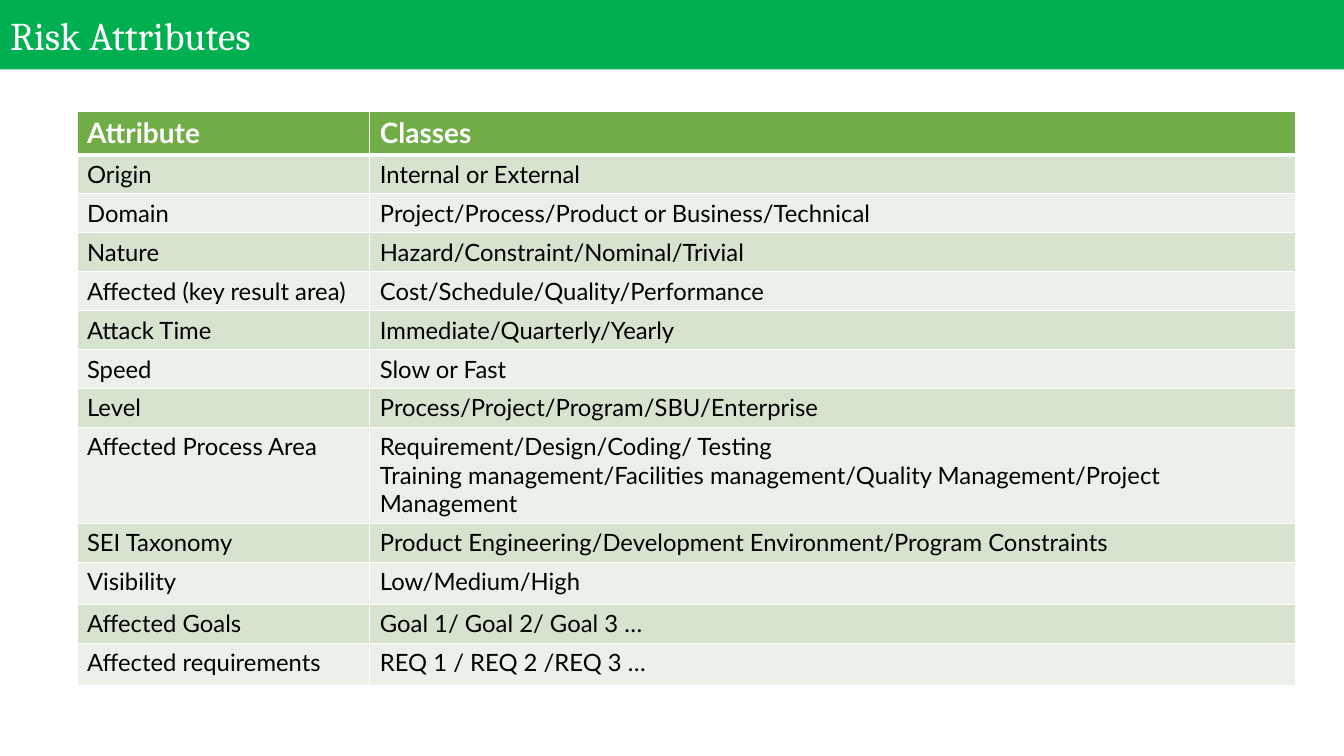
from lxml.etree import SubElement as Sub
from pptx import Presentation
from pptx.dml.color import RGBColor as RGB
from pptx.enum.text import MSO_ANCHOR as Anchor, MSO_AUTO_SIZE as Auto, PP_ALIGN as Align
from pptx.oxml.ns import qn
from pptx.util import Cm, Pt

GREEN = RGB(0x00, 0xB0, 0x50)
HEAD = RGB(0x70, 0xAD, 0x47)
BANDS = [RGB(0xEB, 0xF1, 0xE9), RGB(0xD5, 0xE3, 0xCF)]
WHITE = RGB(0xFF, 0xFF, 0xFF)
BLACK = RGB(0x00, 0x00, 0x00)

ROWS = [
    ("Attribute", "Classes"),
    ("Origin", "Internal or External"),
    ("Domain", "Project/Process/Product or Business/Technical"),
    ("Nature", "Hazard/Constraint/Nominal/Trivial"),
    ("Affected (key result area)", "Cost/Schedule/Quality/Performance"),
    ("Attack Time", "Immediate/Quarterly/Yearly"),
    ("Speed", "Slow or Fast"),
    ("Level", "Process/Project/Program/SBU/Enterprise"),
    ("Affected Process Area",
     "Requirement/Design/Coding/ Testing\n"
     "Training management/Facilities management/Quality Management/Project Management"),
    ("SEI Taxonomy", "Product Engineering/Development Environment/Program Constraints"),
    ("Visibility", "Low/Medium/High"),
    ("Affected Goals", "Goal 1/ Goal 2/ Goal 3 …"),
    ("Affected requirements", "REQ 1 / REQ 2 /REQ 3 …"),
]
BASE = 0.98  # height of a one-line row, in cm
TALL = {0: 1.07, 8: 2.42, 10: 1.06, 12: 1.06}


def add_run(para, text, font, size, color, bold=False):
    run = para.add_run()
    run.text = text
    run.font.name = font
    run.font.size = Pt(size)
    run.font.bold = bold
    run.font.color.rgb = color


def add_edges(cell, base):
    """Draw white lines on all four sides of a cell."""
    props = cell._tc.get_or_add_tcPr()
    for side, width in (("L", 1), ("R", 1), ("T", 1), ("B", base)):
        line = Sub(props, qn(f"a:ln{side}"), w=str(Pt(width)))
        fill = Sub(line, qn("a:solidFill"))
        Sub(fill, qn("a:srgbClr"), val=str(WHITE))


def add_title(slide, text, left, top, width, height):
    title = slide.shapes.title
    title.left, title.top, title.width, title.height = left, top, width, height
    title.fill.solid()
    title.fill.fore_color.rgb = GREEN
    frame = title.text_frame
    frame.auto_size = Auto.NONE
    frame.vertical_anchor = Anchor.MIDDLE
    para = frame.paragraphs[0]
    para.alignment = Align.LEFT
    add_run(para, text, "Cambria", 28, WHITE)


def add_grid(slide, left, top, width, height):
    grid = slide.shapes.add_table(len(ROWS), 2, left, top, width, height).table
    first = Cm(7.38)
    grid.columns[0].width = first
    grid.columns[1].width = width - first
    for i, texts in enumerate(ROWS):
        grid.rows[i].height = Cm(TALL.get(i, BASE))
        head = i == 0
        for j, text in enumerate(texts):
            cell = grid.cell(i, j)
            # Edges come before the fill in the cell properties
            add_edges(cell, 3 if head else 1)
            cell.fill.solid()
            cell.fill.fore_color.rgb = HEAD if head else BANDS[i % 2]
            frame = cell.text_frame
            for k, line in enumerate(text.split("\n")):
                para = frame.add_paragraph() if k else frame.paragraphs[0]
                add_run(para, line, "Lato", 20 if head else 17,
                        WHITE if head else BLACK, head)


def main():
    deck = Presentation()
    deck.slide_width, deck.slide_height = Cm(33.87), Cm(19.05)
    slide = deck.slides.add_slide(deck.slide_layouts[5])

    # Title bar
    add_title(slide, "Risk Attributes", 0, 0, deck.slide_width, Cm(1.75))

    # Table of attributes and their classes
    add_grid(slide, Cm(1.94), Cm(2.8), Cm(30.7), Cm(14.4))

    deck.save("out.pptx")


if __name__ == "__main__":
    main()
